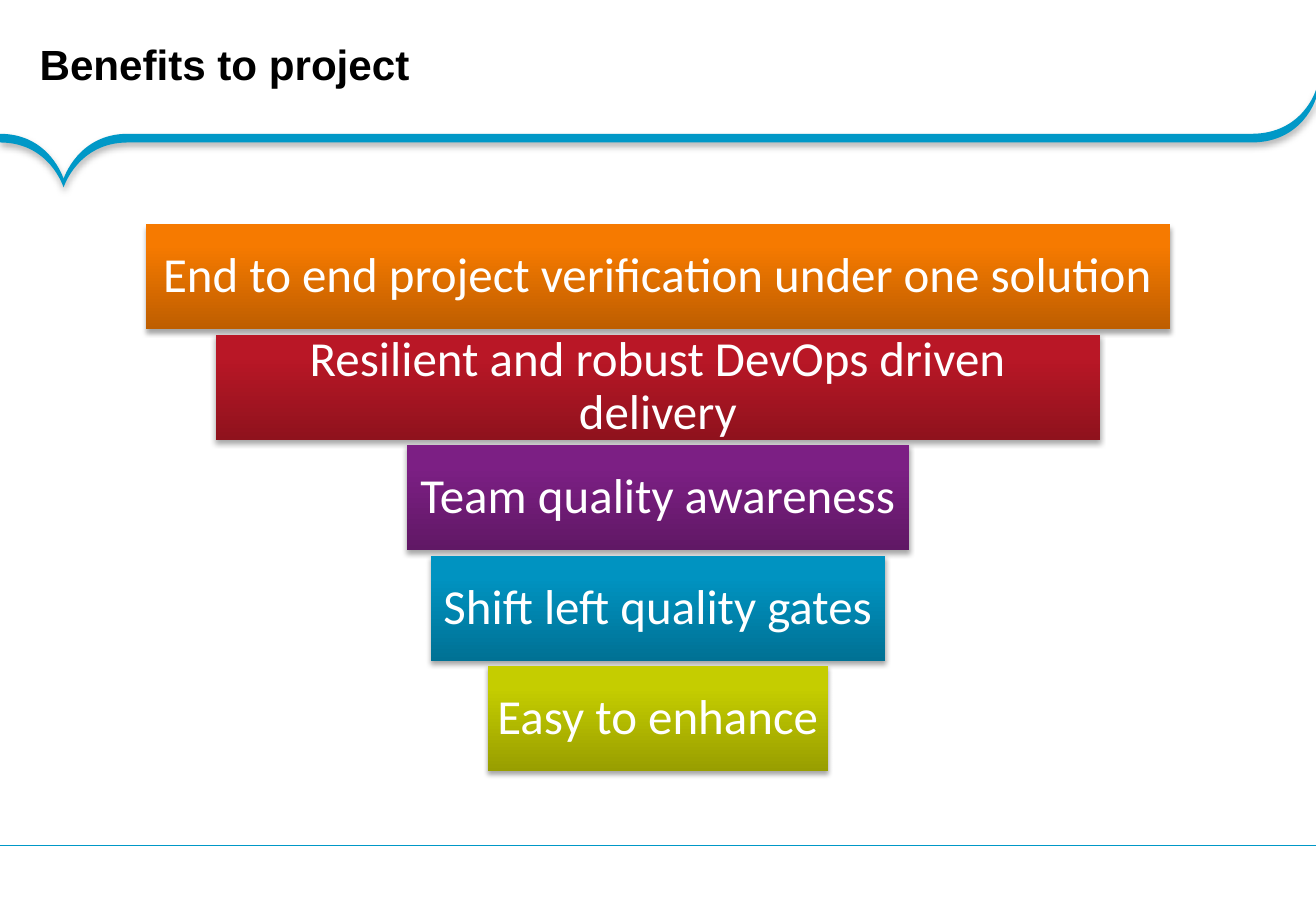
from lxml.etree import SubElement
from pptx import Presentation
from pptx.dml.color import RGBColor
from pptx.enum.shapes import MSO_CONNECTOR, MSO_SHAPE
from pptx.enum.text import MSO_ANCHOR, PP_ALIGN
from pptx.oxml.ns import qn
from pptx.util import Cm, Pt

SLIDE_W, SLIDE_H = 27.51, 19.05
BAR_TOP, BAR_H, BAR_PITCH = 4.69, 2.2, 2.31
BAND_Y, BAND_THICKNESS = 2.8, 0.18

COLORS = {
    "black": "000000", "white": "FFFFFF", "brand": "0098C7",
    "orange": "F67A00", "orange_dark": "BE5E00",
    "red": "B91726", "red_dark": "8F121D",
    "purple": "7C1F84", "purple_dark": "601865",
    "blue": "0093C1", "blue_dark": "007194",
    "lime": "C5CD00", "lime_dark": "989E00",
}

# Text, width in cm, colour
BENEFITS = [
    ("End to end project verification under one solution", 21.41, "orange"),
    ("Resilient and robust DevOps driven delivery", 18.49, "red"),
    ("Team quality awareness", 10.49, "purple"),
    ("Shift left quality gates", 9.5, "blue"),
    ("Easy to enhance", 7.12, "lime"),
]


def rgb(name):
    return RGBColor.from_string(COLORS[name])


def add_shadow(shape, blur, distance, opacity):
    shape.shadow.inherit = False
    effects = shape._element.spPr.find(qn("a:effectLst"))
    shadow = SubElement(effects, qn("a:outerShdw"), blurRad=str(Pt(blur)),
                        dist=str(Pt(distance)), dir="5400000", rotWithShape="0")
    color = SubElement(shadow, qn("a:srgbClr"), val=COLORS["black"])
    SubElement(color, qn("a:alpha"), val=str(opacity * 1000))


def write_text(frame, text, font, size, color, side_margins, margin, bold=False):
    frame.word_wrap = True
    frame.vertical_anchor = MSO_ANCHOR.MIDDLE
    frame.margin_left, frame.margin_right = (Cm(side) for side in side_margins)
    frame.margin_top = frame.margin_bottom = Cm(margin)
    paragraph = frame.paragraphs[0]
    paragraph.line_spacing = 0.9
    run = paragraph.add_run()
    run.text = text
    run.font.name, run.font.size, run.font.bold = font, Pt(size), bold
    run.font.color.rgb = rgb(color)
    return paragraph


def bend_segments(freeform):
    """Turn every three line segments into one cubic curve."""
    lines = list(freeform._element.iter(qn("a:lnTo")))
    for first in range(0, len(lines), 3):
        curve = lines[first].makeelement(qn("a:cubicBezTo"))
        lines[first].addprevious(curve)
        for line in lines[first:first + 3]:
            curve.append(line[0])
            line.getparent().remove(line)


def add_header_band(slide):
    # Upper edge: each knot is followed by two control points
    tip, end = (1.33, 3.74), (SLIDE_W, 1.88)
    notch_right, corner = (2.67, BAND_Y), (26.16, BAND_Y)
    upper = [(0, BAND_Y), (1.04, BAND_Y), tip,
             tip, tip, (1.63, BAND_Y),
             notch_right, notch_right, corner,
             corner, (27.24, BAND_Y), end, end]
    lower = [(x, y + BAND_THICKNESS) for x, y in reversed(upper)]
    outline = [(Cm(x), Cm(y)) for x, y in upper + [upper[-1], lower[0]] + lower]
    builder = slide.shapes.build_freeform(*outline[0])
    builder.add_line_segments(outline[1:], close=False)
    band = builder.convert_to_shape()
    bend_segments(band)
    band.fill.solid()
    band.fill.fore_color.rgb = rgb("brand")
    band.line.fill.background()
    add_shadow(band, 4, 2, 31)


def add_footer_rule(slide):
    y = Cm(17.68)
    rule = slide.shapes.add_connector(MSO_CONNECTOR.STRAIGHT, Cm(SLIDE_W), y, 0, y)
    rule.line.color.rgb = rgb("brand")
    rule.line.width = Pt(0.75)
    SubElement(rule._element.spPr, qn("a:effectLst"))


def add_title(slide, text):
    title = slide.shapes.add_textbox(0, 0, Cm(SLIDE_W), Cm(BAND_Y))
    paragraph = write_text(title.text_frame, text, "Arial", 25, "black",
                           (0.83, 0.46), 0.1, bold=True)
    paragraph.space_after = Pt(12)


def add_benefit_bar(slide, row, text, width, color):
    bar = slide.shapes.add_shape(
        MSO_SHAPE.RECTANGLE, Cm((SLIDE_W - width) / 2),
        Cm(BAR_TOP + row * BAR_PITCH), Cm(width), Cm(BAR_H))
    # Dark at the bottom, full colour from 80 % upwards
    bar.fill.gradient()
    bar.fill.gradient_angle = 90
    bottom, top = bar.fill.gradient_stops
    bottom.color.rgb, bottom.position = rgb(color + "_dark"), 0
    top.color.rgb, top.position = rgb(color), 0.8
    bar.line.fill.background()
    add_shadow(bar, 3.1, 1.8, 35)
    paragraph = write_text(bar.text_frame, text, "Calibri", 29, "white",
                           (0.2, 0.2), 0.2)
    paragraph.alignment = PP_ALIGN.CENTER


def main():
    prs = Presentation()
    prs.slide_width, prs.slide_height = Cm(SLIDE_W), Cm(SLIDE_H)
    slide = prs.slides.add_slide(prs.slide_layouts[6])

    # Frame
    add_header_band(slide)
    add_footer_rule(slide)
    add_title(slide, "Benefits to project")

    # Funnel of benefits
    for row, (text, width, color) in enumerate(BENEFITS):
        add_benefit_bar(slide, row, text, width, color)

    prs.save("out.pptx")


if __name__ == "__main__":
    main()
